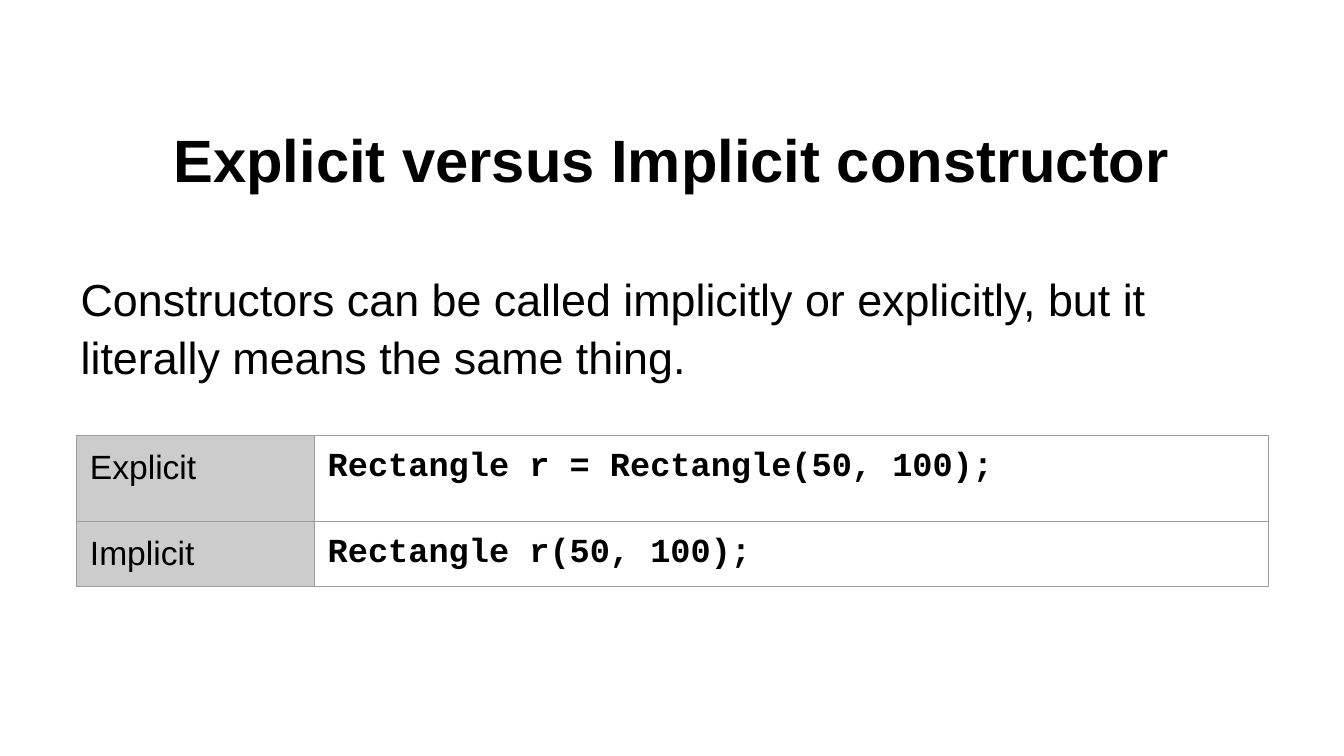
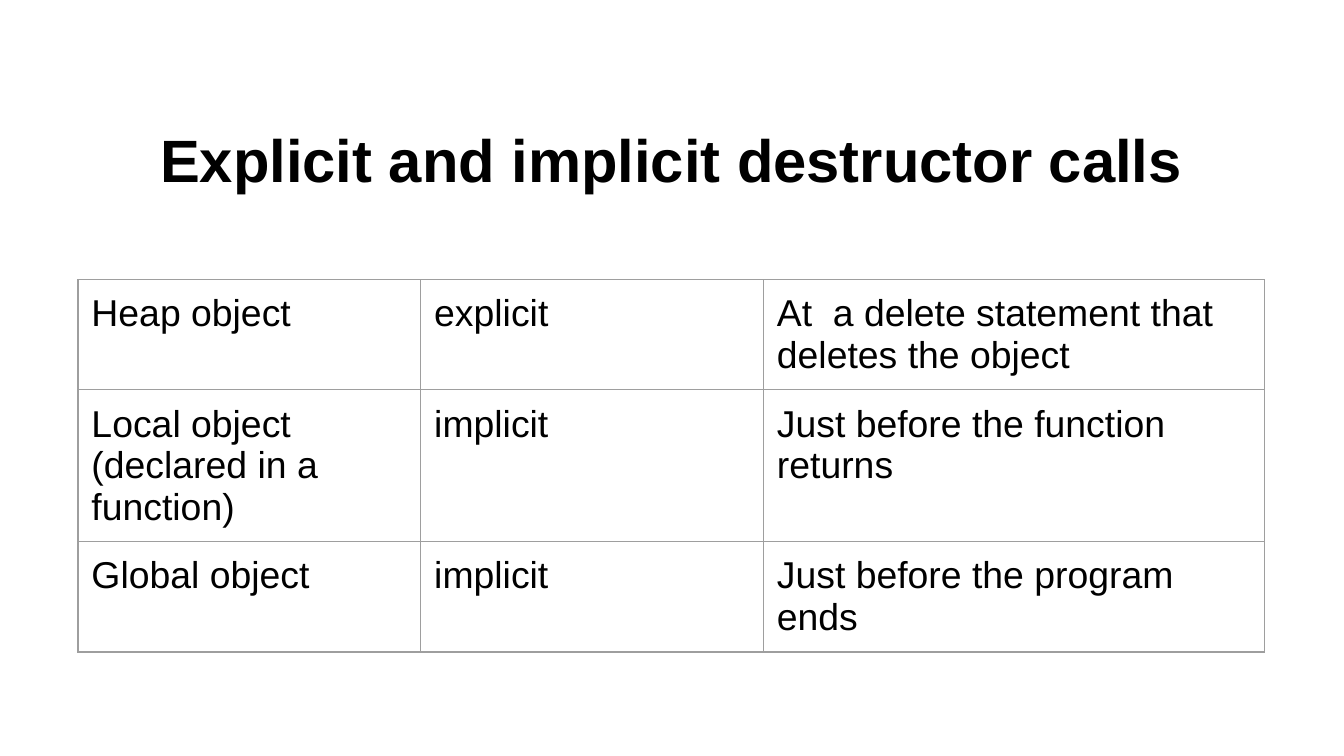
from lxml import etree
from pptx import Presentation
from pptx.dml.color import RGBColor
from pptx.enum.text import MSO_ANCHOR, MSO_AUTO_SIZE, PP_ALIGN
from pptx.oxml.ns import qn
from pptx.util import Pt

TOP, MIDDLE = MSO_ANCHOR.TOP, MSO_ANCHOR.MIDDLE
LEFT, CENTER = PP_ALIGN.LEFT, PP_ALIGN.CENTER
NO_FIT = MSO_AUTO_SIZE.NONE

# Content
CONSTRUCTORS = {
    "title": "Explicit versus Implicit constructor",
    "body": "Constructors can be called implicitly or explicitly, "
            "but it literally means the same thing.",
    "calls": [
        ("Explicit", "Rectangle r = Rectangle(50, 100);"),
        ("Implicit", "Rectangle r(50, 100);"),
    ],
}
DESTRUCTORS = {
    "title": "Explicit and implicit destructor calls",
    "calls": [
        ("Heap object", "explicit", "At  a delete statement that deletes the object"),
        ("Local object (declared in a function)", "implicit",
         "Just before the function returns"),
        ("Global object", "implicit", "Just before the program ends"),
    ],
}

# Shared style, lengths in points
COLORS = {"text": "000000", "border": "9E9E9E", "label": "CCCCCC", "page": "FFFFFF"}
SLIDE_SIZE = (720, 405)
TITLE_BOX = (36, 53.3, 648, 63.4)
BODY_BOX = (36, 136, 648, 183.6)
INSET = 7.2
BORDER_WIDTH = 0.75
TITLE_FONT = {"name": "Arial", "size": Pt(32), "bold": True}
BODY_FONT = {"name": "Arial", "size": Pt(24), "bold": False}
LABEL_FONT = {"name": "Arial", "size": Pt(18), "bold": False}
CODE_FONT = {"name": "Courier New", "size": Pt(18), "bold": True}
CELL_FONT = {"name": "Arial", "size": Pt(20), "bold": False}
TITLE_AND_CONTENT, TITLE_ONLY = 1, 5


def set_attributes(target, values):
    for name, value in values.items():
        setattr(target, name, value)


def set_insets(target):
    for side in ("left", "top", "right", "bottom"):
        setattr(target, f"margin_{side}", Pt(INSET))


def format_paragraph(paragraph, font, align=LEFT, line_spacing=1.0):
    set_attributes(paragraph, {"alignment": align, "space_before": Pt(0),
                               "line_spacing": line_spacing})
    set_attributes(paragraph.font, font)
    paragraph.font.color.rgb = RGBColor.from_string(COLORS["text"])


def fill_placeholder(holder, box, text, font, anchor, align, line_spacing=1.0):
    edges = zip(("left", "top", "width", "height"), map(Pt, box))
    set_attributes(holder, dict(edges))
    frame = holder.text_frame
    frame.text = text
    set_attributes(frame, {"vertical_anchor": anchor, "word_wrap": True,
                           "auto_size": NO_FIT})
    set_insets(frame)
    paragraph = frame.paragraphs[0]
    properties = paragraph._p.get_or_add_pPr()
    properties.set("marL", "0")
    properties.set("indent", "0")
    etree.SubElement(properties, qn("a:buNone"))
    format_paragraph(paragraph, font, align, line_spacing)


def add_titled_slide(deck, layout, title):
    slide = deck.slides.add_slide(deck.slide_layouts[layout])
    background = slide.background.fill
    background.solid()
    background.fore_color.rgb = RGBColor.from_string(COLORS["page"])
    fill_placeholder(slide.shapes.title, TITLE_BOX, title, TITLE_FONT, MIDDLE, CENTER)
    return slide


def add_borders(cell):
    properties = cell._tc.get_or_add_tcPr()
    for side in ("lnL", "lnR", "lnT", "lnB"):
        line = etree.SubElement(properties, qn(f"a:{side}"), w=str(Pt(BORDER_WIDTH)))
        fill = etree.SubElement(line, qn("a:solidFill"))
        etree.SubElement(fill, qn("a:srgbClr"), val=COLORS["border"])


def add_calls_table(slide, calls, corner, widths, heights, fonts, fills):
    """Fonts and fills are given per column; a fill of None stays clear."""
    table = slide.shapes.add_table(
        len(calls), len(widths), *map(Pt, corner),
        Pt(sum(widths)), Pt(sum(heights))).table
    set_attributes(table, {"first_row": False, "horz_banding": False})
    for column, width in zip(table.columns, widths):
        column.width = Pt(width)
    for row, height, texts in zip(table.rows, heights, calls):
        row.height = Pt(height)
        for cell, text, font, fill in zip(row.cells, texts, fonts, fills):
            cell.text = text
            cell.vertical_anchor = TOP
            set_insets(cell)
            format_paragraph(cell.text_frame.paragraphs[0], font)
            add_borders(cell)
            if fill:
                cell.fill.solid()
                cell.fill.fore_color.rgb = RGBColor.from_string(COLORS[fill])
            else:
                cell.fill.background()


def main():
    deck = Presentation()
    deck.slide_width, deck.slide_height = map(Pt, SLIDE_SIZE)

    # Constructors: statement and the two call forms
    slide = add_titled_slide(deck, TITLE_AND_CONTENT, CONSTRUCTORS["title"])
    fill_placeholder(slide.placeholders[1], BODY_BOX, CONSTRUCTORS["body"],
                     BODY_FONT, TOP, LEFT, line_spacing=1.08)
    add_calls_table(slide, CONSTRUCTORS["calls"], corner=(41, 233.3),
                    widths=(127.4, 511.2), heights=(46, 30.2),
                    fonts=(LABEL_FONT, CODE_FONT), fills=("label", None))

    # Destructors: when each kind of object is destroyed
    slide = add_titled_slide(deck, TITLE_ONLY, DESTRUCTORS["title"])
    add_calls_table(slide, DESTRUCTORS["calls"], corner=(41.8, 149.8),
                    widths=(183.6, 183.6, 268.6), heights=[30.2] * 3,
                    fonts=[CELL_FONT] * 3, fills=[None] * 3)

    deck.save("out.pptx")


if __name__ == "__main__":
    main()
